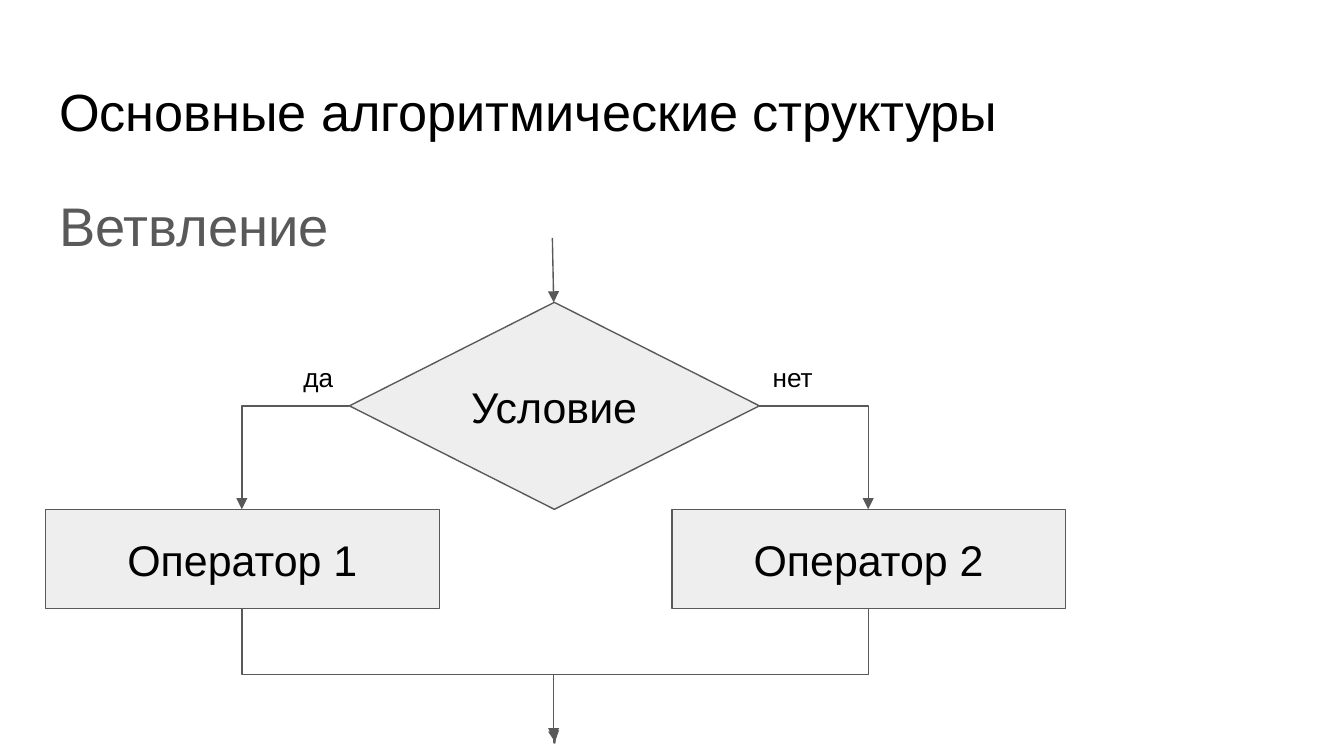
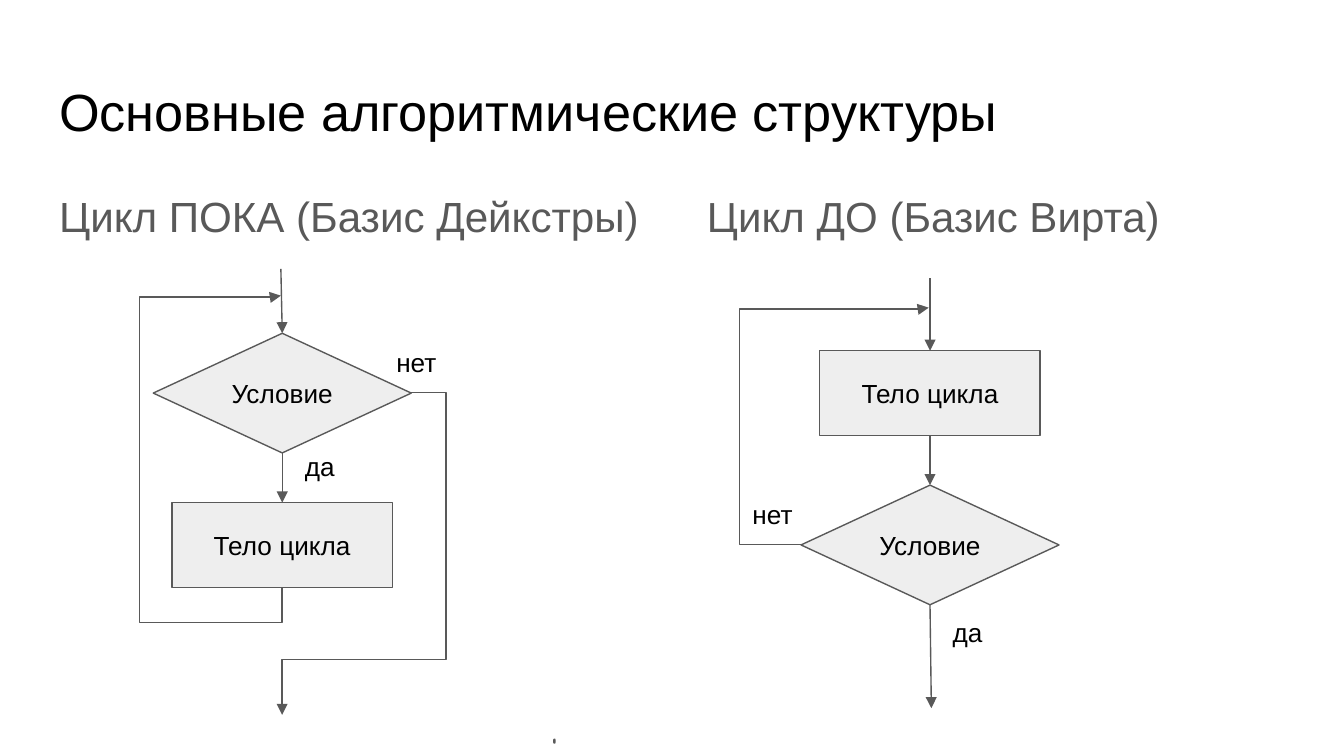
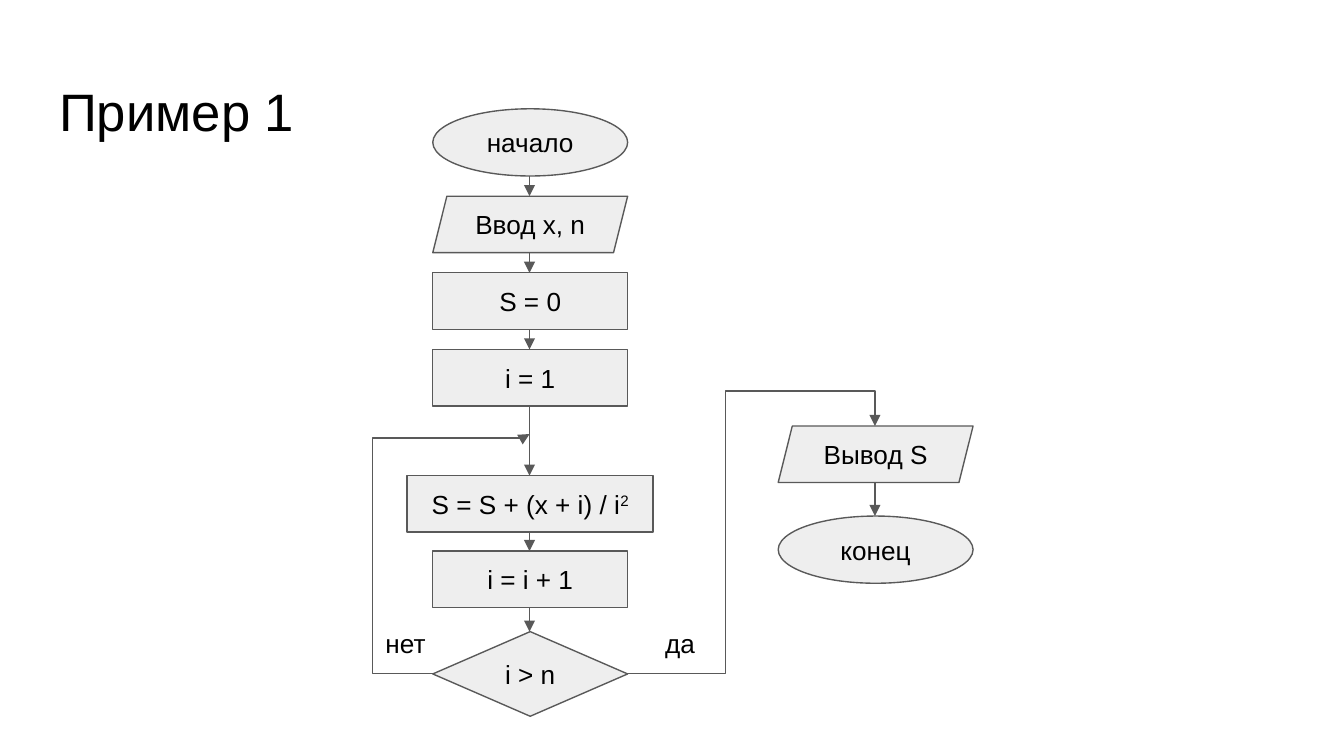
from dataclasses import dataclass
from typing import List, Tuple

from lxml import etree
from pptx import Presentation
from pptx import util as u
from pptx.dml.color import RGBColor
from pptx.enum import shapes, text
from pptx.oxml.ns import qn

SCALE = 9144  # EMU in one px, 100 px to the inch
BLACK = RGBColor(0x00, 0x00, 0x00)
GRAY = RGBColor(0x59, 0x59, 0x59)
PALE = RGBColor(0xEE, 0xEE, 0xEE)
FONT = "Arial"
LINE_WIDTH = u.Pt(0.75)
INSET = 10
SMALL = 14
LARGE = 23

TITLE_AND_BODY, TWO_BODIES, TITLE_ONLY = 1, 3, 5
STRUCTURES_TITLE = "Основные алгоритмические структуры"

RECT = shapes.MSO_SHAPE.RECTANGLE
DIAMOND = shapes.MSO_SHAPE.DIAMOND
OVAL = shapes.MSO_SHAPE.OVAL
DATA = shapes.MSO_SHAPE.PARALLELOGRAM

Point = Tuple[int, int]


@dataclass(frozen=True)
class Block:
    kind: shapes.MSO_SHAPE
    caption: str
    left: int
    top: int
    width: int
    height: int
    size: int = SMALL
    superscript: str = ""

    @property
    def center(self) -> int:
        return self.left + self.width // 2

    @property
    def north(self) -> Point:
        return self.center, self.top

    @property
    def south(self) -> Point:
        return self.center, self.top + self.height

    @property
    def west(self) -> Point:
        return self.left, self.top + self.height // 2

    @property
    def east(self) -> Point:
        return self.left + self.width, self.top + self.height // 2


@dataclass(frozen=True)
class Label:
    caption: str
    left: int
    top: int
    width: int


@dataclass(frozen=True)
class Heading:
    caption: str
    left: int
    size: float


JOIN_DOT = Block(OVAL, "", 412, 550, 1, 3)


def px(*lengths: int) -> List[u.Emu]:
    return [u.Emu(length * SCALE) for length in lengths]


def set_text(frame, caption: str, size: float, color: RGBColor = BLACK,
             align=text.PP_ALIGN.LEFT, anchor=text.MSO_ANCHOR.TOP):
    """Fill a frame with one paragraph in the common style and return it."""
    frame.text = caption
    frame.word_wrap = True
    frame.auto_size = text.MSO_AUTO_SIZE.NONE
    frame.vertical_anchor = anchor
    inset, = px(INSET)
    frame.margin_left = frame.margin_right = inset
    frame.margin_top = frame.margin_bottom = inset
    para = frame.paragraphs[0]
    para.alignment = align
    for span in para.runs:
        set_font(span, size, color)
    return para


def set_font(span, size: float, color: RGBColor) -> None:
    span.font.name = FONT
    span.font.size = u.Pt(size)
    span.font.color.rgb = color


def place(box, left: int, top: int, width: int, height: int) -> None:
    box.left, box.top, box.width, box.height = px(left, top, width, height)


def add_slide(deck, layout: int, title: str, size: float = 28,
              headings: Tuple[Heading, ...] = ()):
    """Add a slide with its title and one body placeholder per heading."""
    slide = deck.slides.add_slide(deck.slide_layouts[layout])
    place(slide.shapes.title, 34, 49, 932, 63)
    set_text(slide.shapes.title.text_frame, title, size)
    for index, heading in enumerate(headings, start=1):
        body = slide.placeholders[index]
        place(body, heading.left, 126, 466, 74)
        para = set_text(body.text_frame, heading.caption, heading.size, GRAY)
        para.line_spacing = 1.15
        para.space_before = u.Pt(0)
        para.space_after = u.Pt(12)
        properties = para._p.get_or_add_pPr()
        properties.set("marL", "0")
        properties.set("indent", "0")
        etree.SubElement(properties, qn("a:buNone"))
    return slide


def add_blocks(slide, *blocks: Block) -> None:
    for block in blocks:
        box = slide.shapes.add_shape(
            block.kind, *px(block.left, block.top, block.width, block.height))
        box.shadow.inherit = False
        box.fill.solid()
        box.fill.fore_color.rgb = PALE
        box.line.color.rgb = GRAY
        box.line.width = LINE_WIDTH
        if not block.caption:
            continue
        para = set_text(box.text_frame, block.caption, block.size,
                        align=text.PP_ALIGN.CENTER, anchor=text.MSO_ANCHOR.MIDDLE)
        if block.superscript:
            span = para.add_run()
            span.text = block.superscript
            set_font(span, block.size, BLACK)
            span._r.get_or_add_rPr().set("baseline", "30000")


def add_labels(slide, *labels: Label) -> None:
    for label in labels:
        box = slide.shapes.add_textbox(*px(label.left, label.top, label.width, 44))
        set_text(box.text_frame, label.caption, SMALL)
        box.text_frame.auto_size = text.MSO_AUTO_SIZE.SHAPE_TO_FIT_TEXT


def add_arrow(slide, *points: Point) -> None:
    """Draw one connector along the points, with an arrowhead at the last one."""
    (x0, y0), (x1, y1) = points[0], points[-1]
    bends = len(points) - 2
    vertical = bends > 0 and points[0][0] == points[1][0]
    # An elbow leaves along its own width, so a vertical start is turned by 90°.
    run, rise = (y1 - y0, x0 - x1) if vertical else (x1 - x0, y1 - y0)
    kind = shapes.MSO_CONNECTOR.ELBOW if bends else shapes.MSO_CONNECTOR.STRAIGHT
    ends = (x0 + x1 - run, y0 + y1 - rise, x0 + x1 + run, y0 + y1 + rise)
    connector = slide.shapes.add_connector(
        kind, *(u.Emu(end * SCALE // 2) for end in ends))
    connector.line.color.rgb = GRAY
    connector.line.width = LINE_WIDTH
    properties = connector.element.spPr
    if bends:
        connector.rotation = 90 if vertical else 0
        geometry = properties.find(qn("a:prstGeom"))
        geometry.set("prst", f"bentConnector{bends + 1}")
        guides = geometry.find(qn("a:avLst"))
        for number, (x, y) in enumerate(points[1:-2], start=1):
            along_y = vertical == (number % 2 == 1)
            share = (y - y0) / (y1 - y0) if along_y else (x - x0) / (x1 - x0)
            # A three-part elbow has a single guide, adj1, like the first of the others.
            etree.SubElement(guides, qn("a:gd"), name=f"adj{number}",
                             fmla=f"val {round(share * 100000)}")
    etree.SubElement(properties.find(qn("a:ln")), qn("a:tailEnd"), type="triangle")
    etree.SubElement(properties, qn("a:effectLst"))


def add_chain(slide, *blocks: Block) -> None:
    """Join each block to the next one below it."""
    for upper, lower in zip(blocks, blocks[1:]):
        add_arrow(slide, upper.south, lower.north)


def add_branching(deck) -> None:
    slide = add_slide(deck, TITLE_AND_BODY, STRUCTURES_TITLE,
                      headings=(Heading("Ветвление", 34, 29.1),))
    first, second = (Block(RECT, f"Оператор {number}", left, 379, 293, 74, LARGE)
                     for number, left in ((1, 34), (2, 500)))
    condition = Block(DIAMOND, "Условие", 260, 225, 305, 154, LARGE)
    add_blocks(slide, first, second, condition, JOIN_DOT)

    add_arrow(slide, (411, 177), condition.north)
    for side, operator in ((condition.west, first), (condition.east, second)):
        add_arrow(slide, side, (operator.center, side[1]), operator.north)
    merge_x, merge_y = condition.center, 502
    add_arrow(slide, first.south, (first.center, merge_y), (merge_x, merge_y),
              (merge_x, 552), (merge_x + 1, 552))
    add_arrow(slide, second.south, (second.center, merge_y), (merge_x, merge_y),
              (merge_x, 550))
    add_labels(slide, Label("да", 216, 259, 44), Label("нет", 565, 259, 55))


def add_loops(deck) -> None:
    slide = add_slide(deck, TWO_BODIES, STRUCTURES_TITLE, headings=(
        Heading("Цикл ПОКА (Базис Дейкстры)", 34, 22.6),
        Heading("Цикл ДО (Базис Вирта)", 516, 22.5)))
    while_test, until_test = (Block(DIAMOND, "Условие", left, top, 192, 89)
                              for left, top in ((114, 248), (596, 361)))
    while_body, until_body = (Block(RECT, "Тело цикла", left, top, 164, 63)
                              for left, top in ((128, 374), (610, 261)))
    add_blocks(slide, while_body, while_test, JOIN_DOT, until_body, until_test)

    axis = while_test.center
    add_arrow(slide, (axis - 1, 200), while_test.north)
    add_chain(slide, while_test, while_body)
    add_arrow(slide, while_body.south, (axis, 463), (102, 463), (102, 221),
              (axis - 1, 221), (axis - 1, 220))
    exit_y = while_test.east[1]
    add_arrow(slide, while_test.east, (332, exit_y), (332, 491), (axis, 491),
              (axis, 532))

    axis = until_test.center
    add_arrow(slide, (axis, 207), until_body.north)
    add_chain(slide, until_body, until_test)
    add_arrow(slide, until_test.south, (axis + 1, 527))
    repeat_y = until_test.west[1]
    add_arrow(slide, until_test.west, (550, repeat_y), (550, 230), (axis - 1, 230),
              (axis - 1, 229))
    add_labels(slide, Label("да", 217, 325, 44), Label("нет", 285, 248, 55),
               Label("да", 699, 449, 44), Label("нет", 550, 361, 55))


def add_example(deck) -> None:
    slide = add_slide(deck, TITLE_ONLY, "Пример 1", 28.2)
    column, width, height = 322, 145, 42
    start = Block(OVAL, "начало", column, 81, width, 50)
    steps = [Block(kind, caption, column, 146 + 57 * row, width, height)
             for row, (kind, caption) in enumerate((
                 (DATA, "Ввод х, n"), (RECT, "S = 0"), (RECT, "i = 1")))]
    total = Block(RECT, "S = S + (x + i) / i", 303, 354, 183, height, superscript="2")
    increment = Block(RECT, "i = i + 1", column, 410, width, height)
    test = Block(DIAMOND, "i > n", column, 470, width, 63)
    output = Block(DATA, "Вывод S", 579, 317, width, height)
    finish = Block(OVAL, "конец", 579, 384, width, 50)
    add_blocks(slide, start, *steps, total, increment, test, output, finish)

    add_chain(slide, start, *steps, total)
    add_chain(slide, total, increment, test)
    add_chain(slide, output, finish)
    test_y = test.west[1]
    add_arrow(slide, test.west, (277, test_y), (277, 326), (test.center, 326),
              (test.center, 323))
    add_arrow(slide, test.east, (540, test_y), (540, 291), (output.center, 291),
              output.north)
    add_labels(slide, Label("нет", 277, 457, 57), Label("да", 485, 457, 57))


def main() -> None:
    deck = Presentation()
    deck.slide_width, = px(1000)
    deck.slide_height = u.Emu(deck.slide_width * 9 // 16)
    add_branching(deck)
    add_loops(deck)
    add_example(deck)
    deck.save("out.pptx")


if __name__ == "__main__":
    main()
